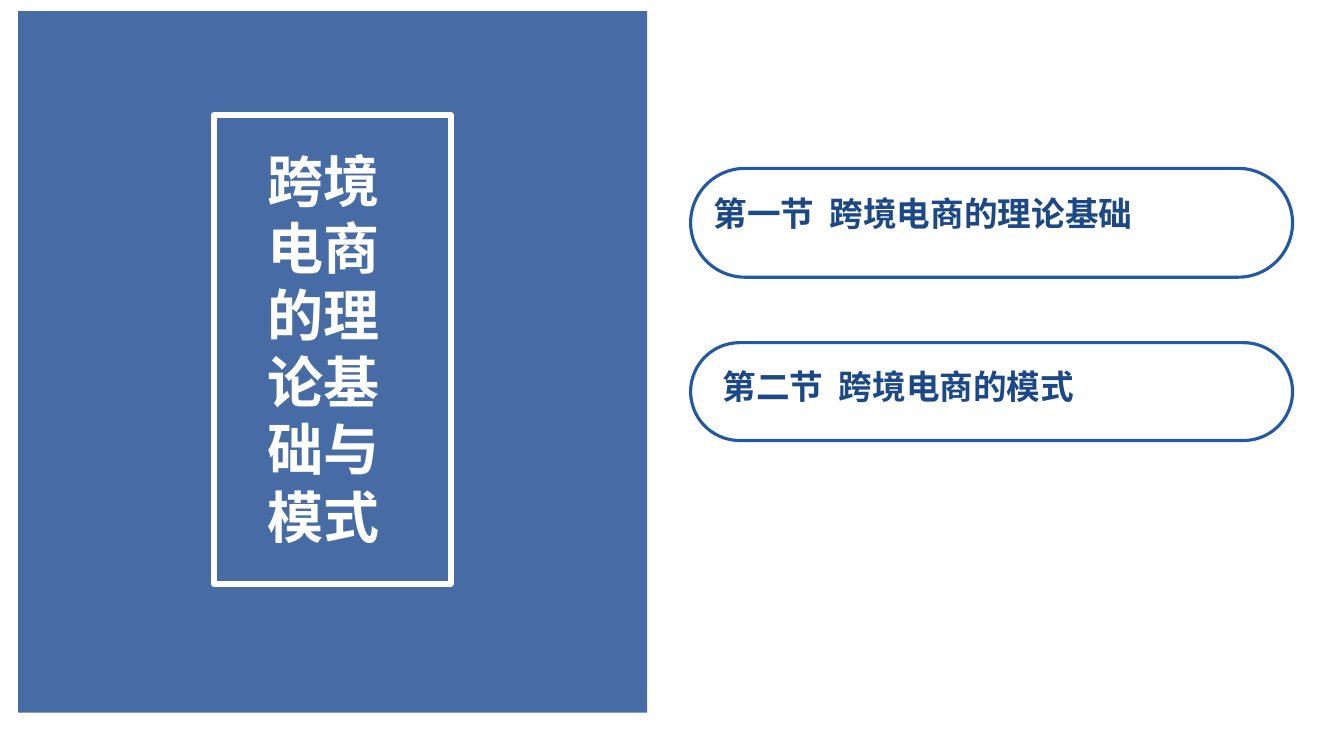
from pptx import Presentation
from pptx.dml.color import RGBColor
from pptx.enum.shapes import MSO_SHAPE
from pptx.enum.text import MSO_ANCHOR, MSO_AUTO_SIZE, PP_ALIGN
from pptx.oxml.ns import qn
from pptx.util import Inches, Pt
from lxml.etree import SubElement


def colour(value):
    return RGBColor.from_string(value)


class SectionSlide:
    font_name = "Noto Sans CJK SC"
    white, panel_blue, outline_blue, text_blue = "FFFFFF", "18478F", "2259A2", "1C4885"

    def __init__(self, deck):
        self.slide = deck.slides.add_slide(deck.slide_layouts.get_by_name("Title Only"))

    def shape(self, kind, box, fill=None, alpha=100, line=None, width=0):
        shape = self.slide.shapes.add_shape(kind, *map(Inches, box))
        shape.shadow.inherit = False
        if fill:
            shape.fill.solid()
            shape.fill.fore_color.rgb = colour(fill)
            tint = shape._element.spPr.find(qn("a:solidFill"))[0]
            SubElement(tint, qn("a:alpha"), val=str(alpha * 1000))
        else:
            shape.fill.background()
        if line:
            shape.line.color.rgb = colour(line)
            shape.line.width = Pt(width)
        else:
            shape.line.fill.background()
        return shape

    def put_text(self, holder, text, size, text_colour):
        frame = holder.text_frame
        frame.text = text
        layout = {"word_wrap": True, "auto_size": MSO_AUTO_SIZE.NONE,
                  "vertical_anchor": MSO_ANCHOR.TOP}
        for name, value in layout.items():
            setattr(frame, name, value)
        paragraph = frame.paragraphs[0]
        paragraph.alignment = PP_ALIGN.LEFT
        font = paragraph.runs[0].font
        for name, value in {"name": self.font_name, "size": Pt(size), "bold": True}.items():
            setattr(font, name, value)
        font.color.rgb = colour(text_colour)

    def title(self, text, box):
        title = self.slide.shapes.title
        for name, value in zip(("left", "top", "width", "height"), box):
            setattr(title, name, Inches(value))
        title._element.getparent().append(title._element)
        self.put_text(title, text, 40, self.white)

    def section(self, text, pill_box, text_box):
        pill = self.shape(MSO_SHAPE.ROUNDED_RECTANGLE, pill_box,
                          line=self.outline_blue, width=2.25)
        pill.adjustments[0] = 0.5
        label = self.slide.shapes.add_textbox(*map(Inches, text_box))
        self.put_text(label, text, 24, self.text_blue)


def main():
    deck = Presentation()
    deck.slide_width, deck.slide_height = Inches(13.33), Inches(7.5)
    chapter = SectionSlide(deck)
    chapter.shape(MSO_SHAPE.RECTANGLE, (0.18, 0.11, 6.24, 6.96),
                  fill=chapter.panel_blue, alpha=80)
    chapter.title("跨境电商的理论基础与模式", (2.55, 1.4, 1.75, 4.14))
    chapter.shape(MSO_SHAPE.RECTANGLE, (2.12, 1.14, 2.35, 4.65),
                  line=chapter.white, width=4.25)
    chapter.section("第一节  跨境电商的理论基础", (6.85, 1.67, 5.97, 1.08), (6.98, 1.86, 5.39, 0.5))
    chapter.section("第二节  跨境电商的模式", (6.85, 3.4, 5.97, 0.97), (7.07, 3.58, 5.57, 0.5))
    deck.save("out.pptx")


if __name__ == "__main__":
    main()
